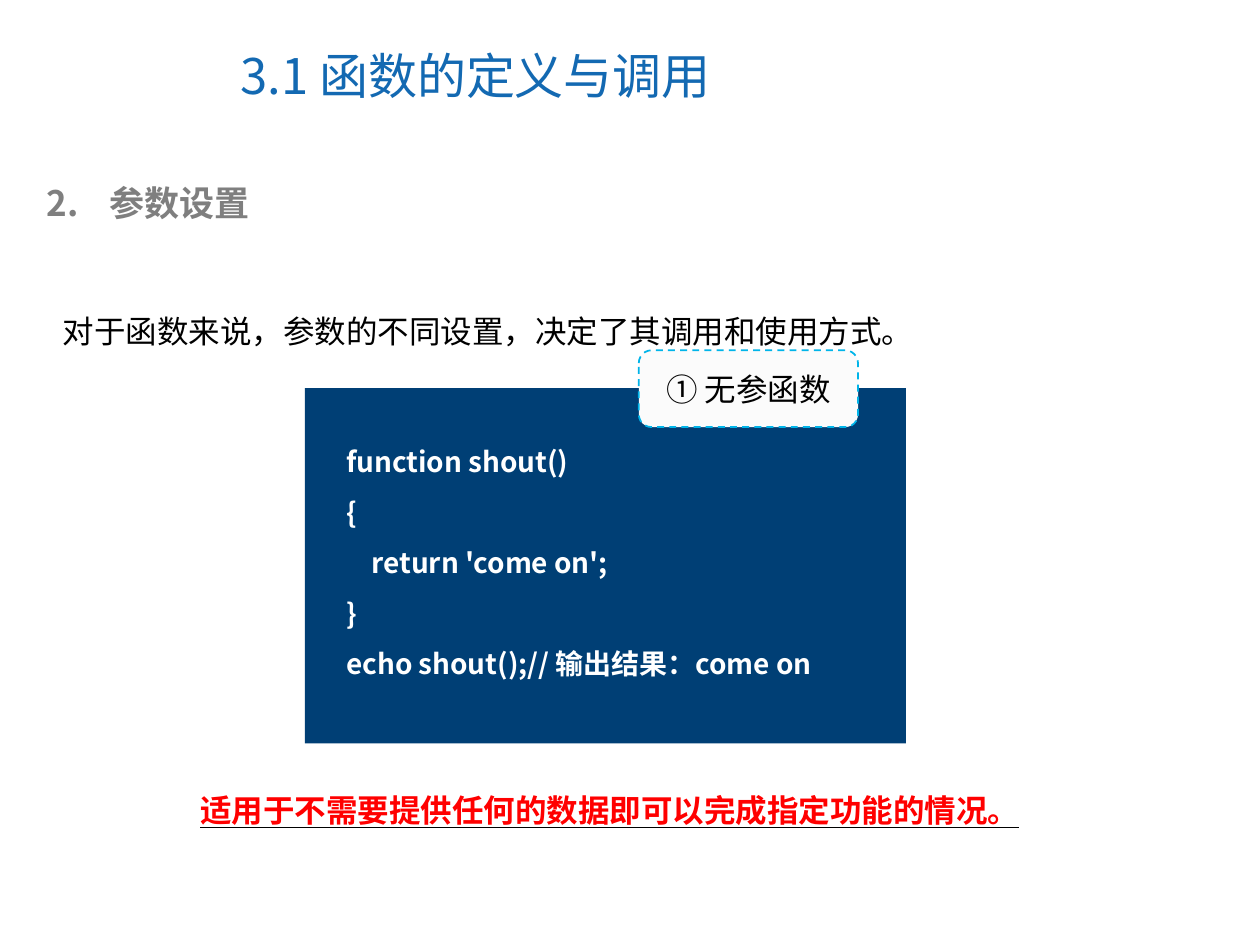
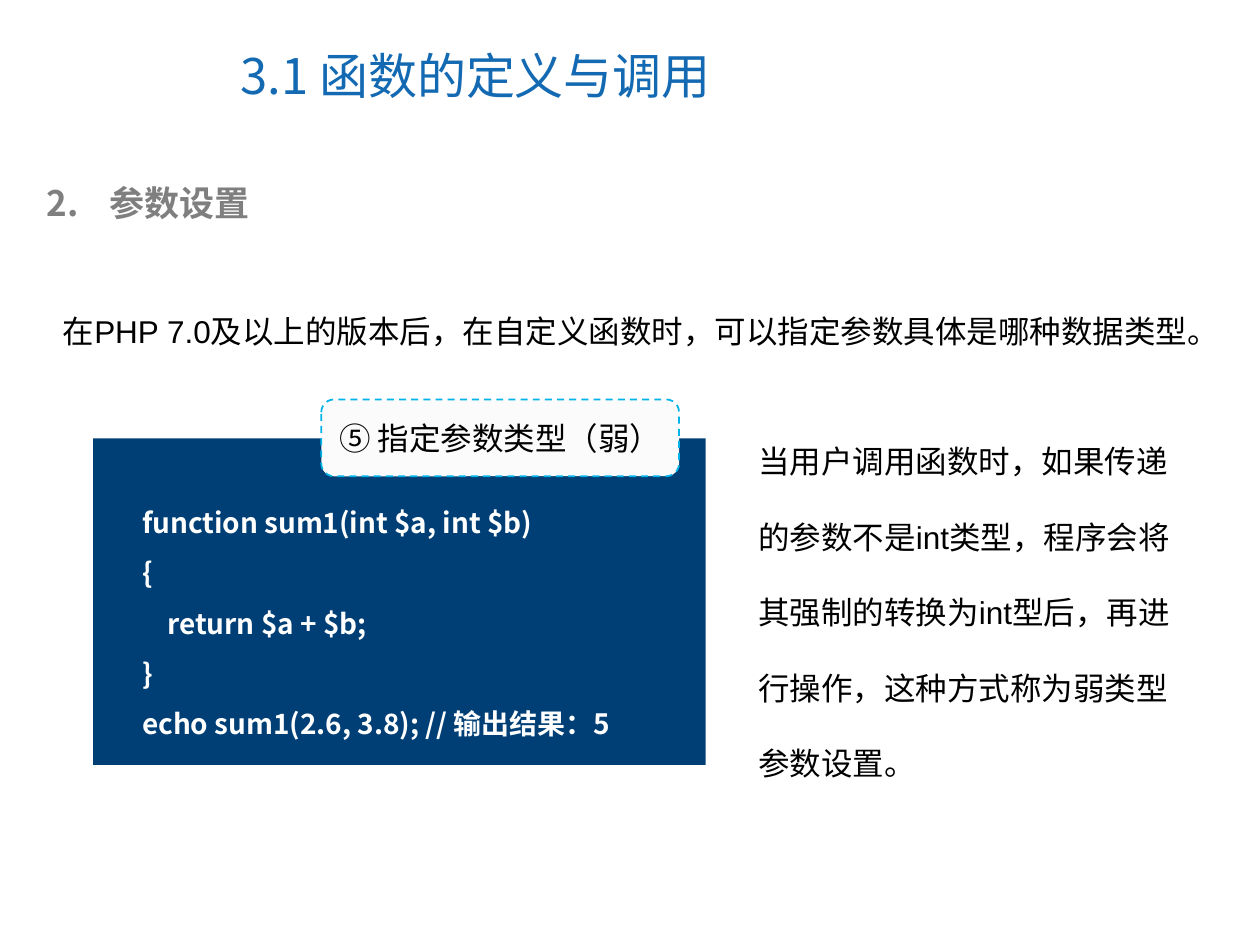
from lxml import etree
from pptx import Presentation
from pptx import util as u
from pptx.dml.color import RGBColor
from pptx.enum import dml, shapes, text
from pptx.oxml import ns

PX = 9144  # EMU; 100 px to the inch
HEADING_FONT, BODY_FONT = "Noto Sans CJK SC", "Arial"
BLUE, NAVY, CYAN, GREY = "1369B2", "003F75", "00B4E9", "7F7F7F"
PALE, WHITE, BLACK, RED = "FBFBFB", "FFFFFF", "000000", "FF0000"


def rgb(value):
    return RGBColor.from_string(value)


def px(*lengths):
    return [u.Emu(length * PX) for length in lengths]


def add_xml(parent, tag, **attributes):
    return etree.SubElement(parent, ns.qn(tag), attributes)


class Lesson:
    """The deck's style and the slide now being filled."""

    def __init__(self):
        self.deck = Presentation()
        self.deck.slide_width, self.deck.slide_height = px(1000, 750)
        self.slide = None

    def new_slide(self, title, section, number):
        self.slide = self.deck.slides.add_slide(self.deck.slide_layouts[6])
        heading = self.textbox((181, 17, 516, 85), title, 28, BLUE, HEADING_FONT, grow=False)
        heading.vertical_anchor = text.MSO_ANCHOR.MIDDLE
        topic = self.textbox((27, 139, 922, 44), section, 20, GREY, HEADING_FONT, bold=True)
        self.number(topic.paragraphs[0], number)

    def set_words(self, frame, words, size, color, font_name, bold=False, spacing=1.0):
        frame.text = words
        frame.word_wrap = True
        for paragraph in frame.paragraphs:
            paragraph.line_spacing = spacing
            for run in paragraph.runs:
                font = run.font
                font.size, font.bold, font.name = u.Pt(size), bold, font_name
                font.color.rgb = rgb(color)
                add_xml(run._r.get_or_add_rPr(), "a:ea", typeface=HEADING_FONT)

    def textbox(self, box, words, size, color, font_name, bold=False, spacing=1.0, grow=True):
        frame = self.slide.shapes.add_textbox(*px(*box)).text_frame
        self.set_words(frame, words, size, color, font_name, bold, spacing)
        if grow:
            frame.auto_size = text.MSO_AUTO_SIZE.SHAPE_TO_FIT_TEXT
        return frame

    def number(self, paragraph, start):
        """Give the paragraph an automatic number with a hanging indent."""
        properties = paragraph._p.get_or_add_pPr()
        properties.set("marL", str(50 * PX))
        properties.set("indent", str(-50 * PX))
        add_xml(add_xml(properties, "a:buClr"), "a:srgbClr", val=GREY)
        add_xml(properties, "a:buFont", typeface=HEADING_FONT)
        add_xml(properties, "a:buAutoNum", type="arabicPeriod", startAt=str(start))

    def body(self, box, words, color=BLACK, bold=False):
        return self.textbox(box, words, 18, color, BODY_FONT, bold, spacing=2.0)

    def conclusion(self, box, words):
        """Red underlined statement; the underline itself is black."""
        frame = self.body(box, words, RED, bold=True)
        run = frame.paragraphs[0].runs[0]
        run.font.underline = True
        properties = run._r.get_or_add_rPr()
        underline = add_xml(properties, "a:uFill")
        add_xml(add_xml(underline, "a:solidFill"), "a:srgbClr", val=BLACK)
        properties.find(ns.qn("a:latin")).addprevious(underline)

    def panel(self, kind, box, fill):
        shape = self.slide.shapes.add_shape(kind, *px(*box))
        shape.shadow.inherit = False
        shape.fill.solid()
        shape.fill.fore_color.rgb = rgb(fill)
        shape.line.fill.background()
        return shape

    def code(self, panel_box, code_box, lines):
        self.panel(shapes.MSO_SHAPE.RECTANGLE, panel_box, NAVY)
        self.textbox(code_box, "\n".join(lines), 16, WHITE, HEADING_FONT, True, spacing=1.5)

    def tag(self, box, words):
        label = self.panel(shapes.MSO_SHAPE.ROUNDED_RECTANGLE, box, PALE)
        label.line.color.rgb = rgb(CYAN)
        label.line.width = u.Pt(1)
        label.line.dash_style = dml.MSO_LINE.DASH
        self.set_words(label.text_frame, words, 18, BLACK, BODY_FONT)
        label.text_frame.vertical_anchor = text.MSO_ANCHOR.MIDDLE
        label.text_frame.paragraphs[0].alignment = text.PP_ALIGN.CENTER


def main():
    lesson = Lesson()
    header = ("3.1 函数的定义与调用", "参数设置", 2)

    lesson.new_slide(*header)
    lesson.body((40, 213, 919, 70), "对于函数来说，参数的不同设置，决定了其调用和使用方式。")
    lesson.code((242, 308, 477, 282), (265, 335, 454, 210), [
        "function shout()",
        "{",
        "    return 'come on';",
        "}",
        "echo shout();// 输出结果：come on",
    ])
    lesson.conclusion((149, 593, 679, 70), "适用于不需要提供任何的数据即可以完成指定功能的情况。")
    lesson.tag((507, 278, 174, 61), "① 无参函数")

    lesson.new_slide(*header)
    lesson.body((40, 213, 940, 130),
                "在PHP 7.0及以上的版本后，在自定义函数时，可以指定参数具体是哪种数据类型。")
    lesson.code((74, 348, 486, 259), (103, 383, 448, 210), [
        "function sum1(int $a, int $b)",
        "{",
        "    return $a + $b;",
        "}",
        "echo sum1(2.6, 3.8); // 输出结果：5",
    ])
    lesson.tag((255, 317, 284, 61), "⑤ 指定参数类型（弱）")
    lesson.body((592, 316, 367, 310),
                "当用户调用函数时，如果传递的参数不是int类型，程序会将其强制的转换为int型后，"
                "再进行操作，这种方式称为弱类型参数设置。")

    lesson.deck.save("out.pptx")


if __name__ == "__main__":
    main()
